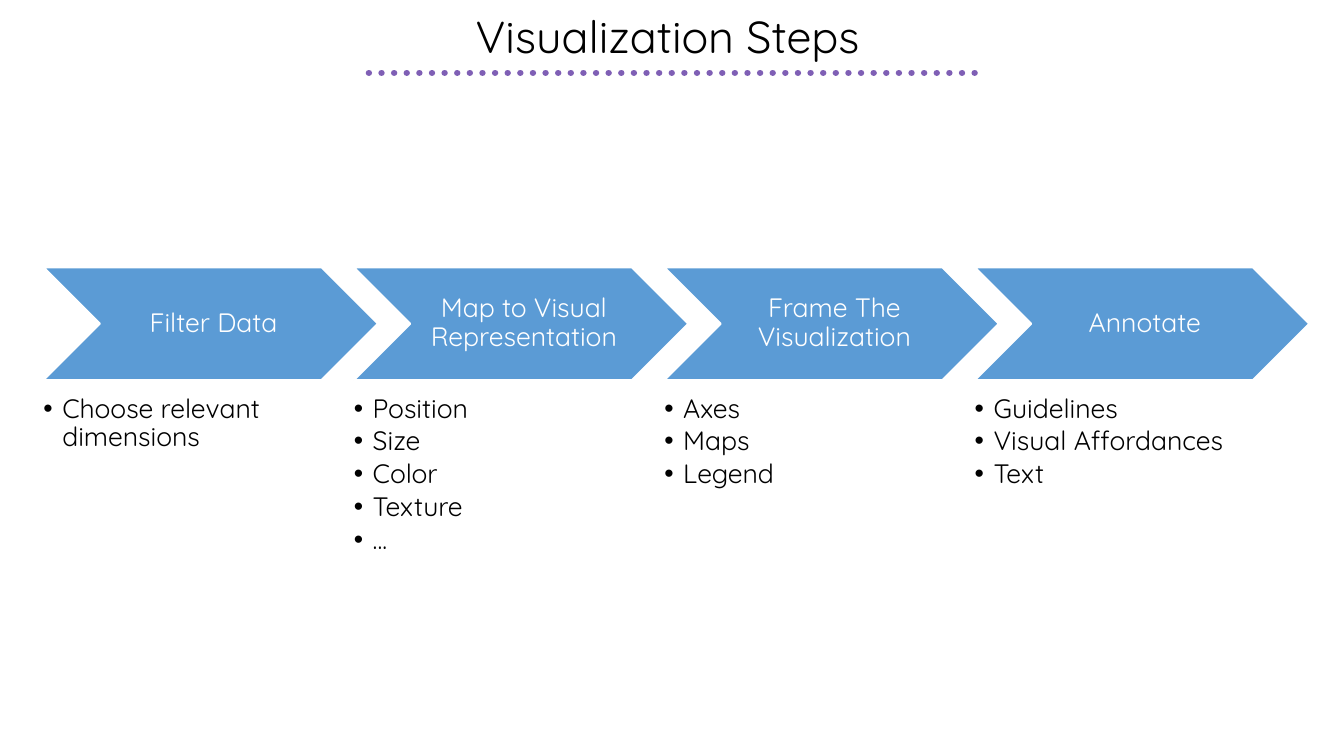
from pptx import Presentation
from pptx.dml.color import RGBColor
from pptx.enum.dml import MSO_LINE
from pptx.enum.shapes import MSO_CONNECTOR, MSO_SHAPE
from pptx.enum.text import MSO_ANCHOR, PP_ALIGN
from pptx.oxml.ns import qn
from pptx.util import Pt
from lxml.etree import SubElement

FONT = "Quicksand"
COLORS = {"text": "000000", "white": "FFFFFF", "step": "5B9BD5", "rule": "7F5FB5"}
STEPS = [
    ("Filter Data", ["Choose relevant dimensions"]),
    ("Map to Visual Representation", ["Position", "Size", "Color", "Texture", "..."]),
    ("Frame The Visualization", ["Axes", "Maps", "Legend"]),
    ("Annotate", ["Guidelines", "Visual Affordances", "Text"]),
]


def color(name):
    return RGBColor.from_string(COLORS[name])


def write(tf, lines, size=19, fill="text", align=PP_ALIGN.LEFT,
          anchor=MSO_ANCHOR.TOP, margins=(0, 0, 0, 0), after=0, bullet_indent=0):
    tf.word_wrap = True
    tf.vertical_anchor = anchor
    tf.margin_left, tf.margin_top, tf.margin_right, tf.margin_bottom = map(Pt, margins)
    for i, line in enumerate(lines):
        p = tf.paragraphs[0] if i == 0 else tf.add_paragraph()
        p.alignment = align
        p.line_spacing = 0.9
        p.space_before = Pt(0)
        p.space_after = Pt(after)
        if bullet_indent:
            pPr = p._p.get_or_add_pPr()
            pPr.set("marL", str(Pt(bullet_indent)))
            pPr.set("indent", str(-Pt(bullet_indent)))
            SubElement(pPr, qn("a:buFont")).set("typeface", "Arial")
            SubElement(pPr, qn("a:buChar")).set("char", "•")
        r = p.add_run()
        r.text = line
        r.font.name = FONT
        r.font.size = Pt(size)
        r.font.color.rgb = color(fill)


def add_title(s, text, x, y, w, h):
    # Title
    title = s.shapes.title
    title.left, title.top, title.width, title.height = Pt(x), Pt(y), Pt(w), Pt(h)
    write(title.text_frame, [text], size=32, align=PP_ALIGN.CENTER,
          anchor=MSO_ANCHOR.MIDDLE, margins=(7.2, 3.6, 7.2, 3.6))

    # Dotted rule under the title
    rule_x, rule_y = x + 197.5, y + 49
    rule = s.shapes.add_connector(MSO_CONNECTOR.STRAIGHT, Pt(rule_x), Pt(rule_y),
                                  Pt(rule_x + 437.5), Pt(rule_y))
    rule.line.color.rgb = color("rule")
    rule.line.width = Pt(4.5)
    rule.line.dash_style = MSO_LINE.ROUND_DOT
    rule.line._get_or_add_ln().set("cap", "rnd")
    SubElement(rule._element.spPr, qn("a:effectLst"))


def add_step(s, name, details, x, y, w, h):
    # Chevron with the step name
    sp = s.shapes.add_shape(MSO_SHAPE.CHEVRON, Pt(x), Pt(y), Pt(w), Pt(h))
    sp.shadow.inherit = False
    sp.fill.solid()
    sp.fill.fore_color.rgb = color("step")
    sp.line.color.rgb = color("white")
    sp.line.width = Pt(1.5)
    write(sp.text_frame, [name], fill="white", align=PP_ALIGN.CENTER,
          anchor=MSO_ANCHOR.MIDDLE, margins=(6, 2, 2, 2))

    # Bulleted details below
    box = s.shapes.add_textbox(Pt(x), Pt(y + h + 10.8), Pt(w * 0.8), Pt(h * 1.5))
    write(box.text_frame, details, after=2.85, bullet_indent=13.5)


def add_process(s, steps, x, y, w, h):
    overlap = 17.25
    step_w = (w + overlap * (len(steps) - 1)) / len(steps)
    for i, (name, details) in enumerate(steps):
        add_step(s, name, details, x + i * (step_w - overlap), y, step_w, h)


def main():
    prs = Presentation()
    prs.slide_width, prs.slide_height = Pt(960), Pt(540)
    s = prs.slides.add_slide(prs.slide_layouts[5])
    add_title(s, "Visualization Steps", 66, 3, 822, 49.5)
    add_process(s, STEPS, 31, 191, 904.25, 80.5)
    prs.save("out.pptx")


if __name__ == "__main__":
    main()
